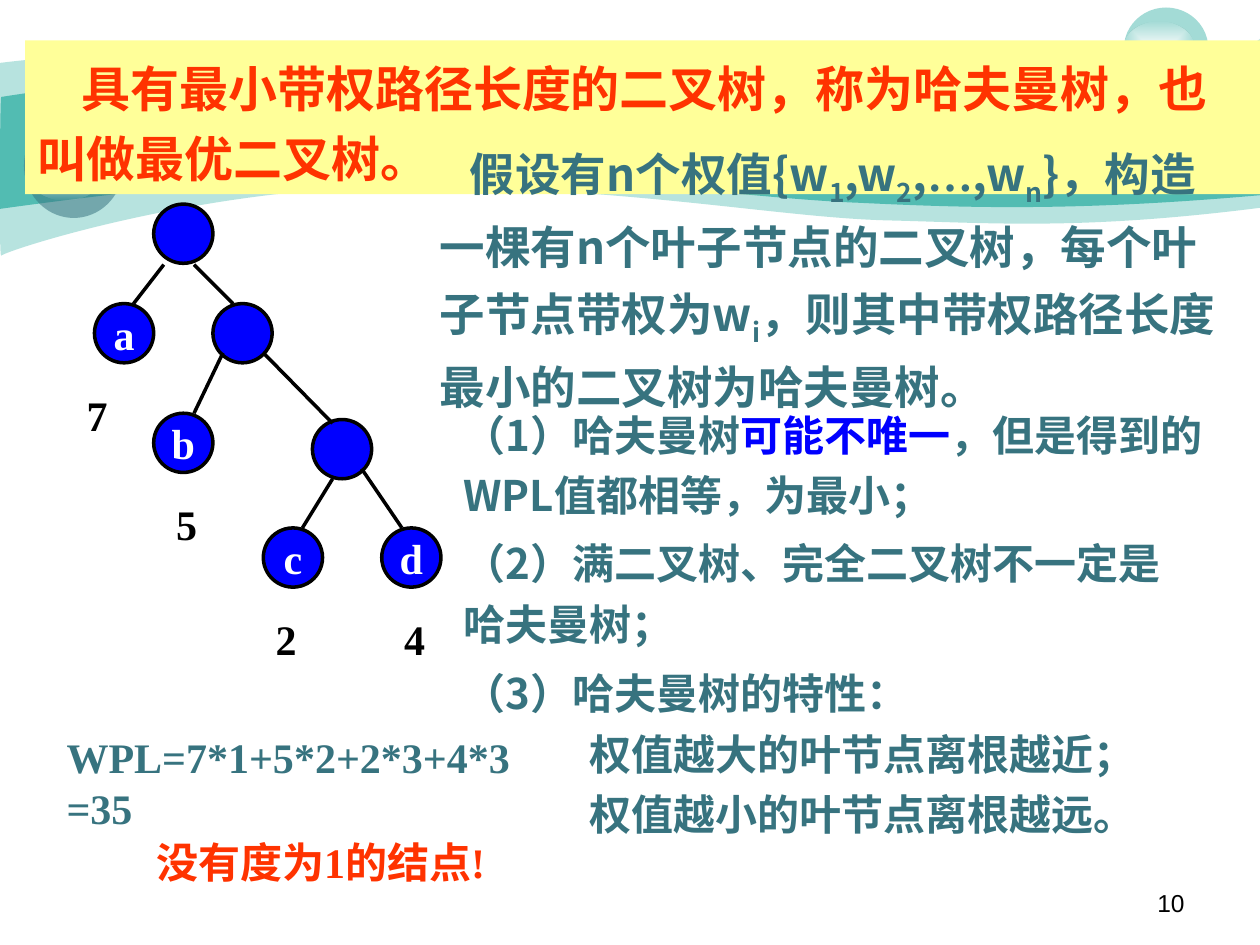
"""Build a slide that defines Huffman trees with an example tree and its WPL."""
from lxml.etree import SubElement
from pptx import Presentation
from pptx.dml.color import RGBColor
from pptx.enum.shapes import MSO_CONNECTOR, MSO_SHAPE
from pptx.enum.text import MSO_ANCHOR as ANCHOR, PP_ALIGN as ALIGN
from pptx.oxml import parse_xml
from pptx.oxml.ns import nsdecls, qn
from pptx.util import Inches, Pt

TEAL = RGBColor(0x52, 0xBC, 0xB2)
SLATE = RGBColor(0x37, 0x73, 0x7F)
BLUE = RGBColor(0x00, 0x00, 0xFF)
YELLOW = RGBColor(0xFF, 0xFF, 0x99)
RED = RGBColor(0xFF, 0x33, 0x00)
BLACK = RGBColor(0x00, 0x00, 0x00)
WHITE = RGBColor(0xFF, 0xFF, 0xFF)
SERIF, SANS, CJK = "Times New Roman", "Arial", "Noto Sans CJK SC"
NODE = 0.47

PALE_WAVE = [
    [(0, 0.5)],
    [(0.24, 0.47), (1.07, 0.38), (2.47, 0.39)],
    [(3.86, 0.39), (5.75, 0.7), (6.99, 0.75)],
    [(8.22, 0.8), (9.8, 0.47), (10, 0.31)],
    [(10, 1.65)],
    [(8.58, 1.83), (7.87, 1.77), (7.05, 1.75)],
    [(6.22, 1.73), (5.15, 1.51), (3.43, 1.48)],
    [(1.72, 1.44), (0.04, 1.99), (0.01, 2.03)],
    [(-0.01, 2.08), (0, 0.75), (0, 0.5)],
]
DEEP_WAVE = [
    [(0.01, 0.77)],
    [(0.02, 0.77), (1.1, 0.58), (2.48, 0.59)],
    [(3.86, 0.59), (5.95, 0.8), (7.18, 0.84)],
    [(8.41, 0.88), (9.76, 0.69), (10, 0.65)],
    [(10, 1.55)],
    [(8.53, 1.68), (7.65, 1.65), (6.82, 1.61)],
    [(5.99, 1.58), (4.47, 1.36), (3.17, 1.37)],
    [(2.03, 1.37), (-0.02, 1.66), (-0.01, 1.66)],
    [(0, 1.66), (0, 0.77), (0.01, 0.77)],
]
NODES = [
    (0.75, 2.41, "a"), (2.48, 3.33, ""), (1.22, 1.62, ""), (1.69, 2.41, ""),
    (2.09, 4.19, "c"), (3.03, 4.19, "d"), (1.22, 3.28, "b"),
]
EDGES = [
    (2.09, 2.8, 2.64, 3.36), (1.3, 2.1, 1.06, 2.41), (1.54, 2.1, 1.85, 2.41),
    (2.64, 3.8, 2.4, 4.19), (2.87, 3.72, 3.19, 4.19), (1.77, 2.8, 1.54, 3.28),
]
WEIGHTS = [(0.59, 3.04, "7"), (1.3, 3.91, "5"), (2.09, 4.82, "2"), (3.11, 4.82, "4")]
SUB = {"sub": True}
DEFINITION = [
    "假设有n个权值{w", ("1", SUB), ",w", ("2", SUB), ",", ("…", {"font": SERIF}),
    ",w", ("n", SUB), "}，构造一棵有n个叶子节点的二叉树，每个叶子节点带权为w",
    ("i", SUB), "，则其中带权路径长度最小的二叉树为哈夫曼树。",
]
UNIQUENESS = ["（1）哈夫曼树", ("可能不唯一", {"color": BLUE}),
              "，但是得到的WPL值都相等，为最小；"]


def add_run(p, text, size=24, font=CJK, color=SLATE, bold=True, sub=False):
    """Add one formatted run to a paragraph."""
    r = p.add_run()
    r.text = text
    r.font.size, r.font.bold = Pt(size), bold
    r.font.color.rgb = color
    r.font.name = font
    rPr = r.font._element
    SubElement(rPr, qn("a:ea")).set("typeface", CJK)
    if sub:
        rPr.set("baseline", "-25000")


def write(sp, *paragraphs, align=ALIGN.LEFT, anchor=ANCHOR.TOP, wrap=True,
          spacing=None, indent=0, hanging=0, **style):
    """Fill a shape with paragraphs; hanging is the left margin after the first."""
    tf = sp.text_frame
    tf.word_wrap, tf.vertical_anchor = wrap, anchor
    for i, runs in enumerate(paragraphs):
        p = tf.add_paragraph() if i else tf.paragraphs[0]
        p.alignment, p.line_spacing = align, spacing
        pPr = p._p.get_or_add_pPr()
        pPr.set("marL", str(Inches(hanging if i else 0)))
        pPr.set("indent", str(Inches(indent)))
        for run in [runs] if isinstance(runs, str) else runs:
            text, changes = (run, {}) if isinstance(run, str) else run
            add_run(p, text, **{**style, **changes})


def add_text(s, x, y, w, h, *paragraphs, **style):
    """Add a text box."""
    box = s.shapes.add_textbox(Inches(x), Inches(y), Inches(w), Inches(h))
    write(box, *paragraphs, **style)


def paint(sp, color, alpha=None, line=None):
    """Set a shape's fill, opacity in percent and outline."""
    sp.shadow.inherit = False
    sp.fill.solid()
    sp.fill.fore_color.rgb = color
    if alpha:
        srgb = sp._element.spPr.find(qn("a:solidFill"))[0]
        SubElement(srgb, qn("a:alpha")).set("val", str(alpha * 1000))
    if line is None:
        sp.line.fill.background()
    else:
        sp.line.color.rgb = line
        sp.line.width = Pt(2)


def add_shape(s, kind, x, y, w, h, color, **look):
    """Add a painted preset shape."""
    sp = s.shapes.add_shape(kind, Inches(x), Inches(y), Inches(w), Inches(h))
    paint(sp, color, **look)
    return sp


def add_wave(s, segments, alpha=None):
    """Add a band; segments of three points become cubic curves."""
    start, *points = [(Inches(x), Inches(y)) for segment in segments for x, y in segment]
    builder = s.shapes.build_freeform(*start)
    builder.add_line_segments(points, close=True)
    sp = builder.convert_to_shape()
    steps = iter(list(sp._element.iter(qn("a:lnTo"))))
    for segment in segments[1:]:
        first, *rest = [next(steps) for _ in segment]
        if rest:
            first.tag = qn("a:cubicBezTo")
        for step in rest:
            first.append(step[0])
            step.getparent().remove(step)
    paint(sp, TEAL, alpha)


def add_bubble(s, ball, glow, color):
    """Add a translucent ball with a soft white highlight."""
    add_shape(s, MSO_SHAPE.OVAL, *ball, color, alpha=53)
    sp = add_shape(s, MSO_SHAPE.OVAL, *glow, WHITE)
    solid = sp._element.spPr.find(qn("a:solidFill"))
    solid.getparent().replace(solid, parse_xml(
        f'<a:gradFill {nsdecls("a")} rotWithShape="1"><a:gsLst>'
        '<a:gs pos="0"><a:srgbClr val="FFFFFF"/></a:gs>'
        '<a:gs pos="100000"><a:srgbClr val="FFFFFF"><a:alpha val="0"/></a:srgbClr></a:gs>'
        '</a:gsLst><a:path path="rect">'
        '<a:fillToRect l="50000" t="50000" r="50000" b="50000"/></a:path></a:gradFill>'))


def add_node(s, x, y, label):
    """Add a tree node."""
    sp = add_shape(s, MSO_SHAPE.OVAL, x, y, NODE, NODE, BLUE, line=BLACK)
    if label:
        write(sp, label, align=ALIGN.CENTER, anchor=ANCHOR.MIDDLE, wrap=False,
              font=SERIF, color=WHITE)


def add_edge(s, *ends):
    """Add a straight tree edge."""
    line = s.shapes.add_connector(MSO_CONNECTOR.STRAIGHT, *map(Inches, ends))
    line.line.color.rgb = BLACK
    line.line.width = Pt(2)
    SubElement(line._element.spPr, qn("a:effectLst"))


def main():
    """Build and save the slide."""
    prs = Presentation()
    prs.slide_width, prs.slide_height = Inches(10), Inches(7.5)
    s = prs.slides.add_slide(prs.slide_layouts[6])
    add_wave(s, PALE_WAVE, alpha=41)
    add_wave(s, DEEP_WAVE)
    add_bubble(s, (8.92, 0.06, 0.67, 0.65), (8.92, 0.17, 0.56, 0.43), TEAL)
    add_bubble(s, (0.19, 0.9, 0.79, 0.83), (0.19, 1.03, 0.66, 0.56), SLATE)
    add_text(s, 7.17, 7, 2.33, 0.35, "10", align=ALIGN.RIGHT, size=14, font=SANS,
             color=BLACK, bold=False)
    for node in NODES:
        add_node(s, *node)
    for edge in EDGES:
        add_edge(s, *edge)
    for x, y, weight in WEIGHTS:
        add_text(s, x, y, NODE, 0.5, weight, font=SERIF, color=BLACK)
    banner = add_shape(s, MSO_SHAPE.RECTANGLE, 0.2, 0.32, 9.8, 1.22, YELLOW)
    write(banner, "具有最小带权路径长度的二叉树，称为哈夫曼树，也叫做最优二叉树。",
          spacing=1.2, indent=0.35, size=28, font=SERIF, color=RED)
    add_text(s, 0.43, 5.76, 3.78, 0.9, "WPL=7*1+5*2+2*3+4*3=35", font=SERIF)
    add_text(s, 3.39, 1.01, 6.42, 2.32, DEFINITION, spacing=1.2, indent=0.24, size=26)
    add_text(s, 3.58, 3.12, 6.3, 1.06, UNIQUENESS, spacing=1.2)
    add_text(s, 3.58, 4.14, 6.06, 1.06, "（2）满二叉树、完全二叉树不一定是哈夫曼树；",
             spacing=1.2)
    add_text(s, 3.58, 5.17, 6.14, 1.54, "（3）哈夫曼树的特性：",
             "权值越大的叶节点离根越近；", "权值越小的叶节点离根越远。",
             spacing=1.2, hanging=1)
    add_text(s, 1.14, 6.59, 3.39, 0.5, "没有度为1的结点!", font=SERIF, color=RED)
    prs.save("out.pptx")


if __name__ == "__main__":
    main()
